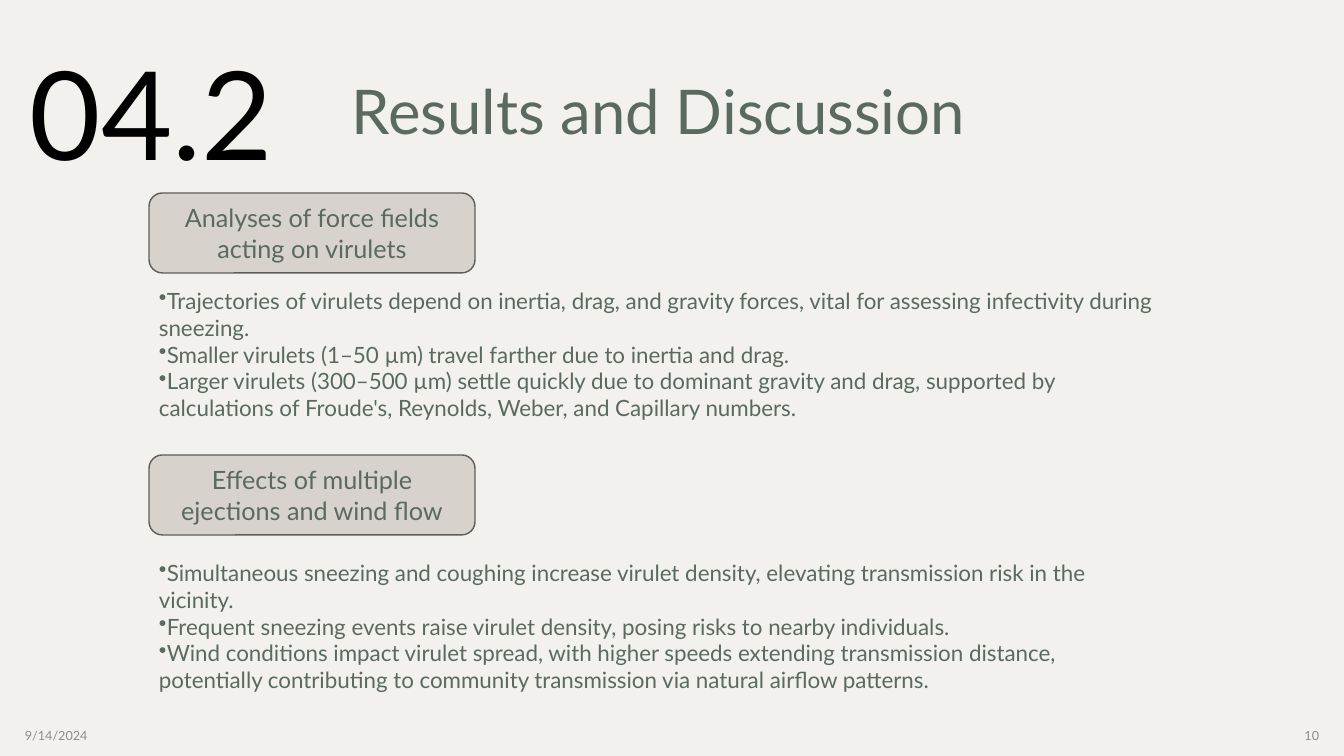
from lxml import etree
from pptx import Presentation, util as u
from pptx.dml.color import RGBColor
from pptx.enum import shapes, text
from pptx.oxml.ns import qn

NUMBER = "04.2"
TITLE = "Results and Discussion"
DATE = "9/14/2024"
PAGE_NUMBER = "10"
SECTIONS = [
    ("Analyses of force fields acting on virulets", 193, 282, 173, [
        "Trajectories of virulets depend on inertia, drag, and gravity forces, "
        "vital for assessing infectivity during sneezing.",
        "Smaller virulets (1–50 µm) travel farther due to inertia and drag.",
        "Larger virulets (300–500 µm) settle quickly due to dominant gravity and drag, "
        "supported by calculations of Froude's, Reynolds, Weber, and Capillary numbers.",
    ]),
    ("Effects of multiple ejections and wind flow", 455, 554, 201, [
        "Simultaneous sneezing and coughing increase virulet density, "
        "elevating transmission risk in the vicinity.",
        "Frequent sneezing events raise virulet density, posing risks to nearby individuals.",
        "Wind conditions impact virulet spread, with higher speeds extending transmission "
        "distance, potentially contributing to community transmission via natural airflow patterns.",
    ]),
]

FONT = "Lato"
GREEN, GREY, BLACK = "5B6A5E", "8C8C8C", "000000"
PAPER, SAND, EDGE = "F2F1EE", "D8D2CD", "5F5C5A"
WIDTH, HEIGHT = 1344, 756
SECTION_LEFT = 149
FOOTER_MARGIN, FOOTER_TOP, FOOTER_WIDTH, FOOTER_HEIGHT = 15, 715, 302, 40
LEFT, CENTER, RIGHT = text.PP_ALIGN.LEFT, text.PP_ALIGN.CENTER, text.PP_ALIGN.RIGHT
TOP, MIDDLE = text.MSO_ANCHOR.TOP, text.MSO_ANCHOR.MIDDLE


def px(length):
    return u.Emu(round(length * 914400 / 100.8))


def color(value):
    return RGBColor.from_string(value)


def write(shape, lines, size, ink, align=LEFT, anchor=TOP, spacing=None, bullet=None):
    frame = shape.text_frame
    frame.word_wrap = True
    frame.vertical_anchor = anchor
    for index, line in enumerate(lines):
        para = frame.paragraphs[0] if index == 0 else frame.add_paragraph()
        para.alignment = align
        if spacing:
            para.line_spacing = spacing
        if bullet:
            mark = etree.SubElement(para._p.get_or_add_pPr(), qn("a:buChar"))
            mark.set("char", bullet)
        span = para.add_run()
        span.text = line
        span.font.name = FONT
        span.font.size = u.Pt(size)
        span.font.color.rgb = color(ink)


def add_text(page, box, lines, size, ink, **style):
    shape = page.shapes.add_textbox(*map(px, box))
    write(shape, lines, size, ink, **style)


def add_heading(page, box, heading):
    shape = page.shapes.add_shape(shapes.MSO_SHAPE.ROUNDED_RECTANGLE, *map(px, box))
    shape.shadow.inherit = False
    shape.fill.solid()
    shape.fill.fore_color.rgb = color(SAND)
    shape.line.color.rgb = color(EDGE)
    shape.line.width = u.Pt(1)
    write(shape, [heading], 18, GREEN, align=CENTER, anchor=MIDDLE)


def main():
    deck = Presentation()
    deck.slide_width, deck.slide_height = px(WIDTH), px(HEIGHT)
    page = deck.slides.add_slide(deck.slide_layouts[6])
    page.background.fill.solid()
    page.background.fill.fore_color.rgb = color(PAPER)

    add_text(page, (80, 40, 1157, 149), [TITLE], 44, GREEN,
             align=CENTER, anchor=MIDDLE, spacing=0.9)
    add_text(page, (20, -42, 326, 147), [NUMBER], 88, BLACK, spacing=1.5)

    footer_right = WIDTH - FOOTER_MARGIN - FOOTER_WIDTH
    for left, label, align in [(FOOTER_MARGIN, DATE, LEFT), (footer_right, PAGE_NUMBER, RIGHT)]:
        add_text(page, (left, FOOTER_TOP, FOOTER_WIDTH, FOOTER_HEIGHT), [label], 9, GREY,
                 align=align, anchor=MIDDLE)

    for heading, heading_top, list_top, list_height, points in SECTIONS:
        add_heading(page, (SECTION_LEFT, heading_top, 326, 80), heading)
        add_text(page, (SECTION_LEFT, list_top, 1018, list_height), points, 16, GREEN, bullet="•")

    deck.save("out.pptx")


if __name__ == "__main__":
    main()
